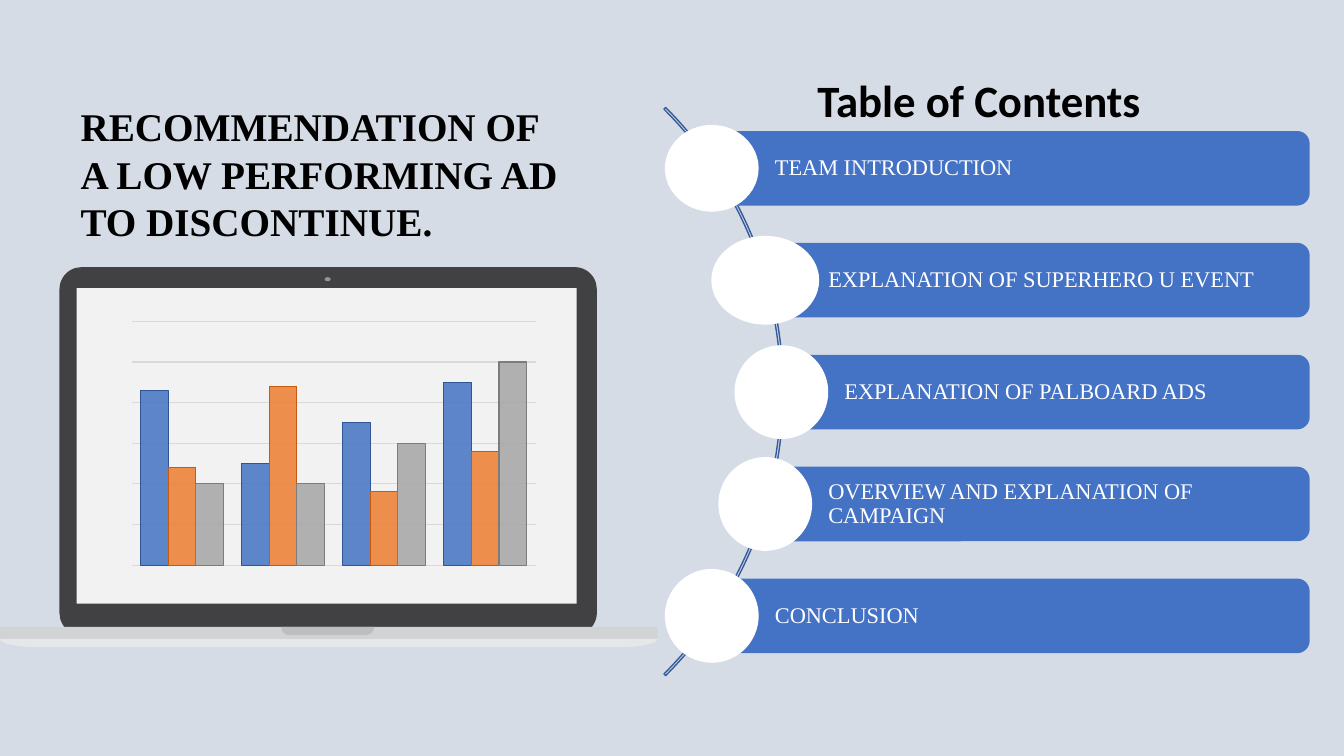
import math

import pptx
import pptx.chart.data
import pptx.dml.color
import pptx.enum.chart
import pptx.enum.shapes
import pptx.enum.text
import pptx.oxml
import pptx.oxml.ns
import pptx.util
from dataclasses import dataclass
from lxml import etree

Inches = pptx.util.Inches
Pt = pptx.util.Pt
Shape = pptx.enum.shapes.MSO_SHAPE
Anchor = pptx.enum.text.MSO_ANCHOR
Align = pptx.enum.text.PP_ALIGN

TITLE = "Table of Contents"
HEADLINE = "RECOMMENDATION OF A LOW PERFORMING AD TO DISCONTINUE."
TOPICS = [
    ("TEAM INTRODUCTION", 7.06, (0.93, 0.86)),
    ("EXPLANATION OF SUPERHERO U EVENT", 7.59, (1.07, 0.88)),
    ("EXPLANATION OF PALBOARD ADS", 7.75, (0.93, 0.93)),
    ("OVERVIEW AND EXPLANATION OF CAMPAIGN", 7.59, (0.93, 0.93)),
    ("CONCLUSION", 7.06, (0.93, 0.93)),
]
CATEGORIES = ["1", "2", "3", "4"]
SERIES = [
    ("Series 1", (86, 50, 70, 90), "4472C4", "2F5597"),
    ("Series 2", (48, 88, 36, 56), "ED7D31", "C55A11"),
    ("Series 3", (40, 40, 60, 100), "A5A5A5", "7C7C7C"),
]
PLOT_AREA = {"x": 0.07, "y": 0.072, "w": 0.893, "h": 0.876}
BAR_TOP, BAR_STEP, BAR_HEIGHT, BAR_RIGHT = 1.3, 1.11, 0.74, 12.99


@dataclass(frozen=True)
class Theme:
    background: str = "D6DCE5"
    bar: str = "4472C4"
    arc: str = "365B9D"
    white: str = "FFFFFF"
    black: str = "000000"
    lid: str = "414042"
    screen: str = "F2F2F2"
    base: str = "D1D3D4"
    notch: str = "BCBEC0"
    foot: str = "E6E7E8"
    camera: str = "939598"
    grid: str = "D9D9D9"
    sans: str = "Calibri"
    serif: str = "Times New Roman"
    title_size: int = 32
    headline_size: int = 28
    topic_size: int = 16
    chart_size: int = 10


THEME = Theme()


def rgb(code):
    return pptx.dml.color.RGBColor.from_string(code)


def paint(shape, color):
    shape.shadow.inherit = False
    shape.fill.solid()
    shape.fill.fore_color.rgb = rgb(color)
    shape.line.fill.background()
    return shape


def add_block(page, kind, left, top, width, height, color):
    box = page.shapes.add_shape(kind, Inches(left), Inches(top), Inches(width), Inches(height))
    return paint(box, color)


def set_font(font, name, size, color, bold=False):
    font.name = name
    font.size = Pt(size)
    font.color.rgb = rgb(color)
    font.bold = bold


def write(box, text, name, size, color, bold=False, align=Align.LEFT, spacing=0.9):
    frame = box.text_frame
    frame.word_wrap = True
    frame.text = text
    para = frame.paragraphs[0]
    para.alignment = align
    para.line_spacing = spacing
    set_font(para.font, name, size, color, bold)
    return frame


def add_curved_tray(page, left, top, width, height, curve, color):
    turns = [math.pi / 2 * step / 8 for step in range(9)]
    side = [(curve * (1 - math.cos(turn)), height * math.sin(turn)) for turn in turns]
    outline = side + [(width - x, y) for x, y in reversed(side)]
    points = [(Inches(left + x), Inches(top + y)) for x, y in outline]
    builder = page.shapes.build_freeform(*points[0])
    builder.add_line_segments(points[1:], close=True)
    paint(builder.convert_to_shape(), color)


def add_topics(page):
    arc = add_block(page, Shape.BLOCK_ARC, -0.2, -0.1, 7.97, 7.97, THEME.bar)
    arc.fill.background()
    for index, value in enumerate((189, 27, 0.003)):
        arc.adjustments[index] = value
    arc.line.color.rgb = rgb(THEME.arc)
    arc.line.width = Pt(1)
    for row, (topic, left, (disc_width, disc_height)) in enumerate(TOPICS):
        top = BAR_TOP + row * BAR_STEP
        bar = add_block(page, Shape.ROUNDED_RECTANGLE, left, top, BAR_RIGHT - left, BAR_HEIGHT, THEME.bar)
        frame = write(bar, topic, THEME.serif, THEME.topic_size, THEME.white)
        frame.vertical_anchor = Anchor.MIDDLE
        frame.margin_left = Inches(0.59)
        frame.margin_right = Inches(0.04)
        middle = top + BAR_HEIGHT / 2
        add_block(page, Shape.OVAL, left - disc_width / 2, middle - disc_height / 2,
                  disc_width, disc_height, THEME.white)


def add_laptop(page):
    lid = add_block(page, Shape.ROUNDED_RECTANGLE, 0.59, 2.65, 5.33, 3.65, THEME.lid)
    lid.adjustments[0] = 0.06
    add_block(page, Shape.RECTANGLE, 0.76, 2.86, 4.96, 3.13, THEME.screen)
    add_block(page, Shape.RECTANGLE, 0, 6.22, 6.52, 0.12, THEME.base)
    add_block(page, Shape.OVAL, 3.22, 2.75, 0.06, 0.04, THEME.camera)
    add_curved_tray(page, 2.79, 6.22, 0.92, 0.08, 0.08, THEME.notch)
    add_curved_tray(page, 0, 6.34, 6.52, 0.08, 0.37, THEME.foot)


def add_performance_chart(page):
    data = pptx.chart.data.CategoryChartData()
    data.categories = CATEGORIES
    for name, values, _, _ in SERIES:
        data.add_series(name, values)
    chart = page.shapes.add_chart(
        pptx.enum.chart.XL_CHART_TYPE.COLUMN_CLUSTERED,
        Inches(0.99), Inches(2.99), Inches(4.49), Inches(2.76), data).chart
    set_font(chart.font, THEME.sans, THEME.chart_size, THEME.black)
    chart.has_legend = False
    chart.has_title = False
    chart.category_axis.visible = False
    axis = chart.value_axis
    axis.visible = False
    axis.minimum_scale, axis.maximum_scale, axis.major_unit = 0, 120, 20
    axis.has_major_gridlines = True
    axis.major_gridlines.format.line.color.rgb = rgb(THEME.grid)
    axis.major_gridlines.format.line.width = Pt(0.75)
    plot = chart.plots[0]
    plot.vary_by_categories = False
    plot.gap_width = 65
    plot.overlap = 0
    qn = pptx.oxml.ns.qn
    for series, (_, _, fill, line) in zip(plot.series, SERIES):
        series.format.fill.solid()
        series.format.fill.fore_color.rgb = rgb(fill)
        color = series.format.fill._xPr.find(qn("a:solidFill"))[0]
        etree.SubElement(color, qn("a:alpha")).set("val", "85000")
        series.format.line.color.rgb = rgb(line)
        series.format.line.width = Pt(0.75)
    area = chart._chartSpace.chart.plotArea
    for old in area.findall(qn("c:layout")):
        area.remove(old)
    layout = etree.Element(qn("c:layout"))
    manual = etree.SubElement(layout, qn("c:manualLayout"))
    settings = {"layoutTarget": "inner", "xMode": "edge", "yMode": "edge", **PLOT_AREA}
    for tag, value in settings.items():
        etree.SubElement(manual, qn("c:" + tag)).set("val", str(value))
    area.insert(0, layout)


def add_titles(page):
    title = page.shapes.title
    title.left, title.top, title.width, title.height = map(Inches, (6.97, 0.52, 5.48, 0.79))
    frame = write(title, TITLE, THEME.sans, THEME.title_size, THEME.black, True, Align.CENTER)
    frame.auto_size = pptx.enum.text.MSO_AUTO_SIZE.NONE
    frame.vertical_anchor = Anchor.BOTTOM
    headline = page.shapes.add_textbox(*map(Inches, (0.7, 0.97, 5.01, 1.51)))
    write(headline, HEADLINE, THEME.serif, THEME.headline_size, THEME.black, True, spacing=1.0)


def main():
    deck = pptx.Presentation()
    deck.slide_width, deck.slide_height = Inches(13.33), Inches(7.5)
    page = deck.slides.add_slide(deck.slide_layouts[5])
    page.background.fill.solid()
    page.background.fill.fore_color.rgb = rgb(THEME.background)
    add_topics(page)
    add_laptop(page)
    add_performance_chart(page)
    add_titles(page)
    deck.save("out.pptx")


if __name__ == "__main__":
    main()
